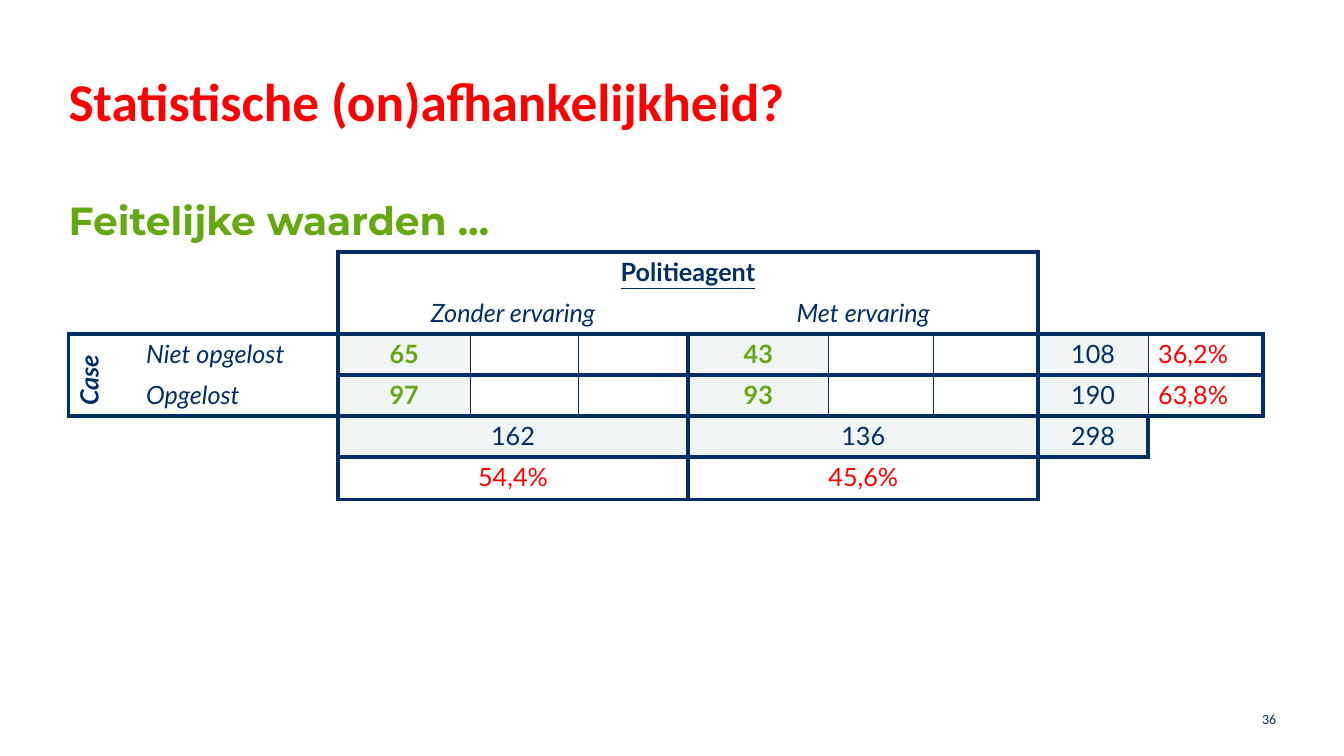
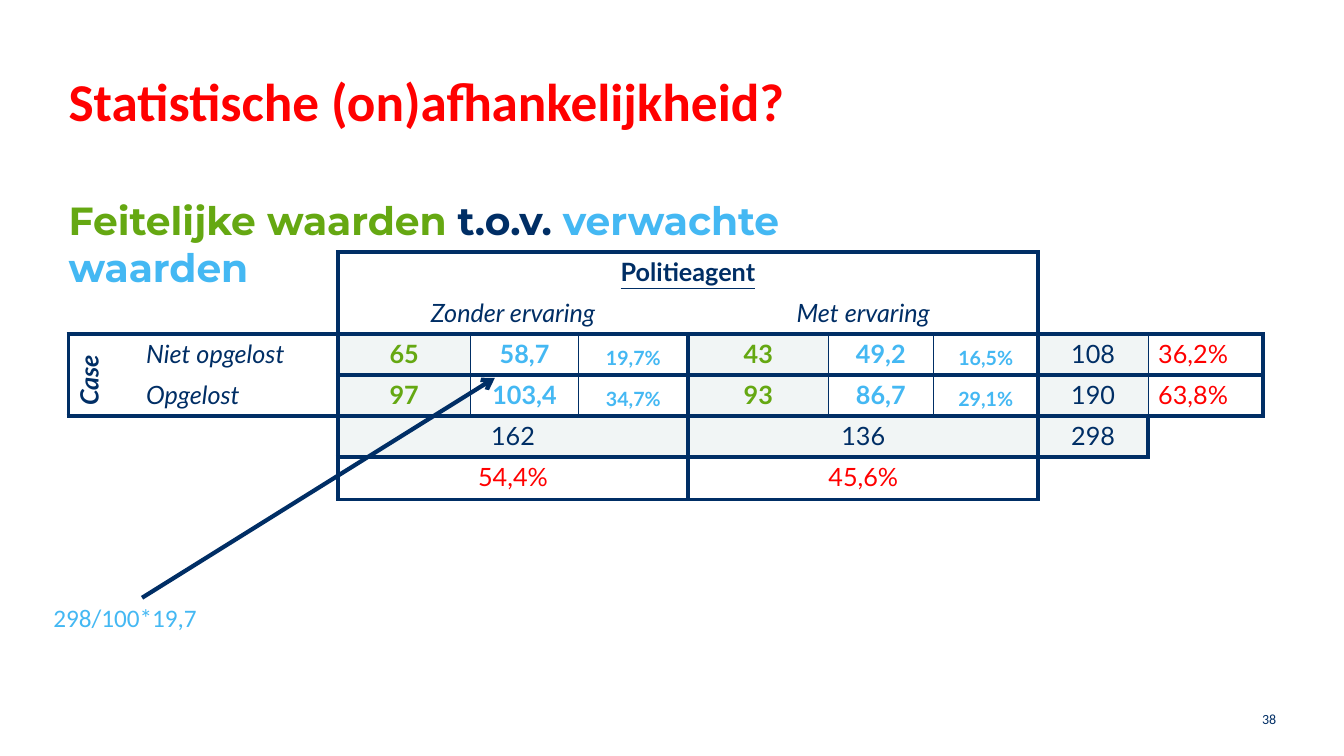
from dataclasses import dataclass
from itertools import product

from lxml.etree import SubElement
from pptx import Presentation
from pptx.dml.color import RGBColor
from pptx.enum.shapes import MSO_CONNECTOR
from pptx.enum.text import MSO_ANCHOR, PP_ALIGN
from pptx.oxml.ns import qn
from pptx.util import Pt


@dataclass(frozen=True)
class Style:
    size: float
    font: str
    color: str
    bold: bool = False
    italic: bool = False
    underline: bool = False


@dataclass(frozen=True)
class Box:
    left: float
    top: float
    width: float
    height: float


class Theme:
    navy, red, green, blue, shade = "002E65", "FF0000", "65A812", "44B8F3", "F1F5F5"
    thick, thin = 3, 1
    title = Style(38, "Calibri", red, bold=True)
    page_number = Style(10, "Calibri", navy)
    formula = Style(18, "Calibri", blue)
    actual_heading = Style(28, "Montserrat", green, bold=True)
    versus_heading = Style(28, "Montserrat", navy, bold=True)
    expected_heading = Style(28, "Montserrat", blue, bold=True)
    group = Style(18, "Lato", navy, bold=True, underline=True)
    label = Style(18, "Lato", navy, italic=True)
    side_label = Style(18, "Lato", navy, bold=True, italic=True)
    actual = Style(18, "Lato", green, bold=True)
    expected = Style(18, "Lato", blue, bold=True)
    expected_share = Style(14, "Lato", blue, bold=True)
    total = Style(18, "Lato", navy)
    share = Style(18, "Lato", red)


SLIDE = Box(0, 0, 960, 540)
TITLE = Box(49, 49, 862, 62.6)
HEADING = Box(49, 140.4, 442, 32.4)
WIDE_HEADING = Box(49, 140.4, 525, 32.4)
TABLE = Box(49, 180, 853.2, 176.8)
FORMULA = Box(31, 427, 141, 28.8)
PAGE_NUMBER = Box(702.7, 499, 216, 28.8)

COLUMNS = [48.2, 144, 95, 77, 78.5, 100, 75, 75, 78.5, 82]
ROWS = [29.3] * 5 + [30.3]

MERGES = [
    (0, 0, 0, 1), (1, 0, 1, 1), (4, 0, 4, 1), (5, 0, 5, 1), (2, 0, 3, 0), (0, 2, 0, 7),
    *[(row, first, row, first + 2) for row in (1, 4, 5) for first in (2, 5)],
]
FRAMES = [
    (0, 2, 1, 7), (2, 0, 3, 1), (4, 8, 4, 8),
    *[(row, first, row, last) for row in (2, 3) for first, last in ((2, 4), (5, 7), (8, 9))],
    *[(row, first, row, first + 2) for row in (4, 5) for first in (2, 5)],
]
SHADED = [(row, column) for row in (2, 3) for column in (2, 5, 8)] + [(4, 2), (4, 5), (4, 8)]

CENTER, LEFT = PP_ALIGN.CENTER, PP_ALIGN.LEFT
OBSERVED = [
    (0, 2, "Politieagent", Theme.group, CENTER),
    (1, 2, "Zonder ervaring", Theme.label, CENTER),
    (1, 5, "Met ervaring", Theme.label, CENTER),
    (2, 0, "Case", Theme.side_label, LEFT),
    (2, 1, "Niet opgelost", Theme.label, LEFT),
    (3, 1, "Opgelost", Theme.label, LEFT),
    (2, 2, "65", Theme.actual, CENTER),
    (2, 5, "43", Theme.actual, CENTER),
    (3, 2, "97", Theme.actual, CENTER),
    (3, 5, "93", Theme.actual, CENTER),
    (2, 8, "108", Theme.total, CENTER),
    (3, 8, "190", Theme.total, CENTER),
    (4, 2, "162", Theme.total, CENTER),
    (4, 5, "136", Theme.total, CENTER),
    (4, 8, "298", Theme.total, CENTER),
    (2, 9, "36,2%", Theme.share, LEFT),
    (3, 9, "63,8%", Theme.share, LEFT),
    (5, 2, "54,4%", Theme.share, CENTER),
    (5, 5, "45,6%", Theme.share, CENTER),
]
EXPECTED = [
    entry
    for row, column, value, share in (
        (2, 3, "58,7", "19,7%"), (2, 6, "49,2", "16,5%"),
        (3, 3, "103,4", "34,7%"), (3, 6, "86,7", "29,1%"),
    )
    for entry in (
        (row, column, value, Theme.expected, CENTER),
        (row, column + 1, share, Theme.expected_share, CENTER),
    )
]


def add_run(paragraph, text, style):
    run = paragraph.add_run()
    run.text = text
    font = run.font
    font.size, font.name = Pt(style.size), style.font
    font.bold, font.italic, font.underline = style.bold, style.italic, style.underline
    font.color.rgb = RGBColor.from_string(style.color)


def add_text(slide, box, runs, align=LEFT, anchor=MSO_ANCHOR.TOP, inset=True):
    shape = slide.shapes.add_textbox(Pt(box.left), Pt(box.top), Pt(box.width), Pt(box.height))
    frame = shape.text_frame
    frame.word_wrap = True
    frame.vertical_anchor = anchor
    if not inset:
        frame.margin_left = frame.margin_right = frame.margin_top = frame.margin_bottom = 0
    paragraph = frame.paragraphs[0]
    paragraph.alignment = align
    for text, style in runs:
        add_run(paragraph, text, style)


def frame_edges():
    edges = {}

    def set_frame(top, left, bottom, right, width):
        for row in range(top, bottom + 1):
            edges[row, left, "L"] = edges[row, left - 1, "R"] = width
            edges[row, right, "R"] = edges[row, right + 1, "L"] = width
        for column in range(left, right + 1):
            edges[top, column, "T"] = edges[top - 1, column, "B"] = width
            edges[bottom, column, "B"] = edges[bottom + 1, column, "T"] = width

    for row, column in product((2, 3), range(2, 10)):
        set_frame(row, column, row, column, Theme.thin)
    for frame in FRAMES:
        set_frame(*frame, Theme.thick)
    return edges


def set_border(cell, side, width):
    properties = cell._tc.get_or_add_tcPr()
    line = SubElement(properties, qn(f"a:ln{side}"), w=str(Pt(width or 0)))
    if width:
        fill = SubElement(line, qn("a:solidFill"))
        SubElement(fill, qn("a:srgbClr"), val=Theme.navy)
    else:
        SubElement(line, qn("a:noFill"))


def style_cell(table, row, column, edges):
    cell = table.cell(row, column)
    last_row, last_column = row, column
    if cell.is_merge_origin:
        last_row += cell.span_height - 1
        last_column += cell.span_width - 1
    for side in "LRTB":
        set_border(cell, side, edges.get((last_row, last_column, side) if side in "RB" else (row, column, side)))
    if (row, column) in SHADED:
        cell.fill.solid()
        cell.fill.fore_color.rgb = RGBColor.from_string(Theme.shade)
    else:
        cell.fill.background()


def add_cross_table(slide, box, entries):
    table = slide.shapes.add_table(
        len(ROWS), len(COLUMNS), Pt(box.left), Pt(box.top), Pt(box.width), Pt(box.height)
    ).table
    table.first_row = table.horz_banding = False
    for column, width in zip(table.columns, COLUMNS):
        column.width = Pt(width * box.width / sum(COLUMNS))
    for row, height in zip(table.rows, ROWS):
        row.height = Pt(height * box.height / sum(ROWS))
    for top, left, bottom, right in MERGES:
        table.cell(top, left).merge(table.cell(bottom, right))
    edges = frame_edges()
    for row, column in product(range(len(ROWS)), range(len(COLUMNS))):
        style_cell(table, row, column, edges)
    for row, column, text, style, align in entries:
        cell = table.cell(row, column)
        paragraph = cell.text_frame.paragraphs[0]
        paragraph.alignment = align
        add_run(paragraph, text, style)
        if style is Theme.expected_share:
            cell.vertical_anchor = MSO_ANCHOR.BOTTOM
        if style is Theme.side_label:
            cell._tc.get_or_add_tcPr().set("vert", "vert270")


def add_formula(slide, box, table_box):
    add_text(slide, box, [("298/100*19,7", Theme.formula)])
    target_left = table_box.left + sum(COLUMNS[:3]) + 17.3
    target_top = table_box.top + sum(ROWS[:3]) + 2
    arrow = slide.shapes.add_connector(
        MSO_CONNECTOR.STRAIGHT,
        Pt(box.left + box.width / 2), Pt(box.top), Pt(target_left), Pt(target_top),
    )
    arrow.line.color.rgb = RGBColor.from_string(Theme.navy)
    arrow.line.width = Pt(Theme.thick)
    SubElement(arrow.line._get_or_add_ln(), qn("a:tailEnd"), type="arrow")
    SubElement(arrow._element.spPr, qn("a:effectLst"))


def add_table_slide(presentation, number, heading_box, heading, entries):
    slide = presentation.slides.add_slide(presentation.slide_layouts[6])
    add_text(slide, TITLE, [("Statistische (on)afhankelijkheid?", Theme.title)], inset=False)
    add_text(slide, PAGE_NUMBER, [(number, Theme.page_number)], PP_ALIGN.RIGHT, MSO_ANCHOR.MIDDLE)
    add_cross_table(slide, TABLE, entries)
    add_text(slide, heading_box, heading, inset=False)
    return slide


def main():
    presentation = Presentation()
    presentation.slide_width, presentation.slide_height = Pt(SLIDE.width), Pt(SLIDE.height)
    add_table_slide(
        presentation, "36", HEADING, [("Feitelijke waarden …", Theme.actual_heading)], OBSERVED
    )
    comparison = [
        ("Feitelijke waarden ", Theme.actual_heading),
        ("t.o.v.", Theme.versus_heading),
        (" verwachte waarden", Theme.expected_heading),
    ]
    slide = add_table_slide(presentation, "38", WIDE_HEADING, comparison, OBSERVED + EXPECTED)
    add_formula(slide, FORMULA, TABLE)
    presentation.save("out.pptx")


if __name__ == "__main__":
    main()
